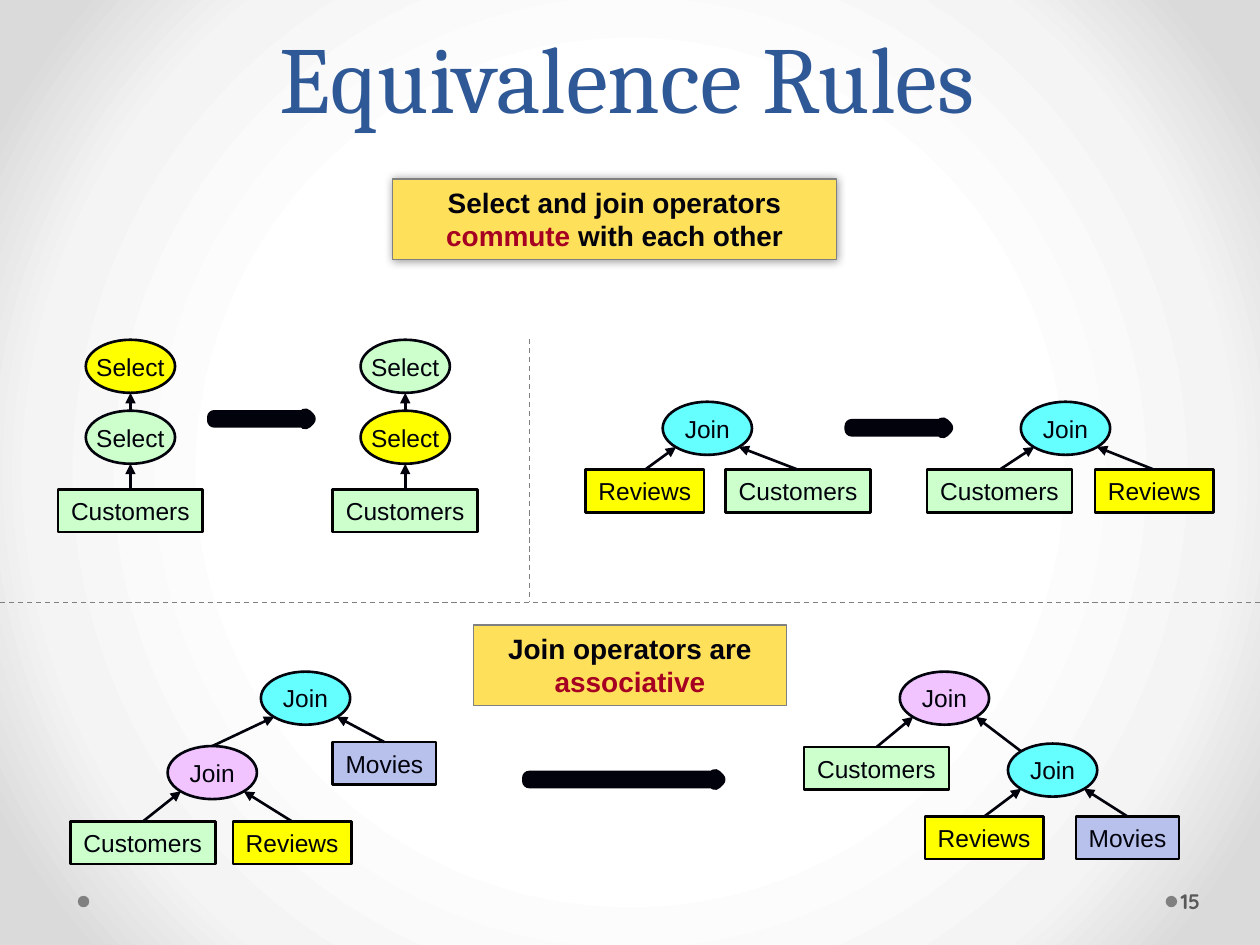
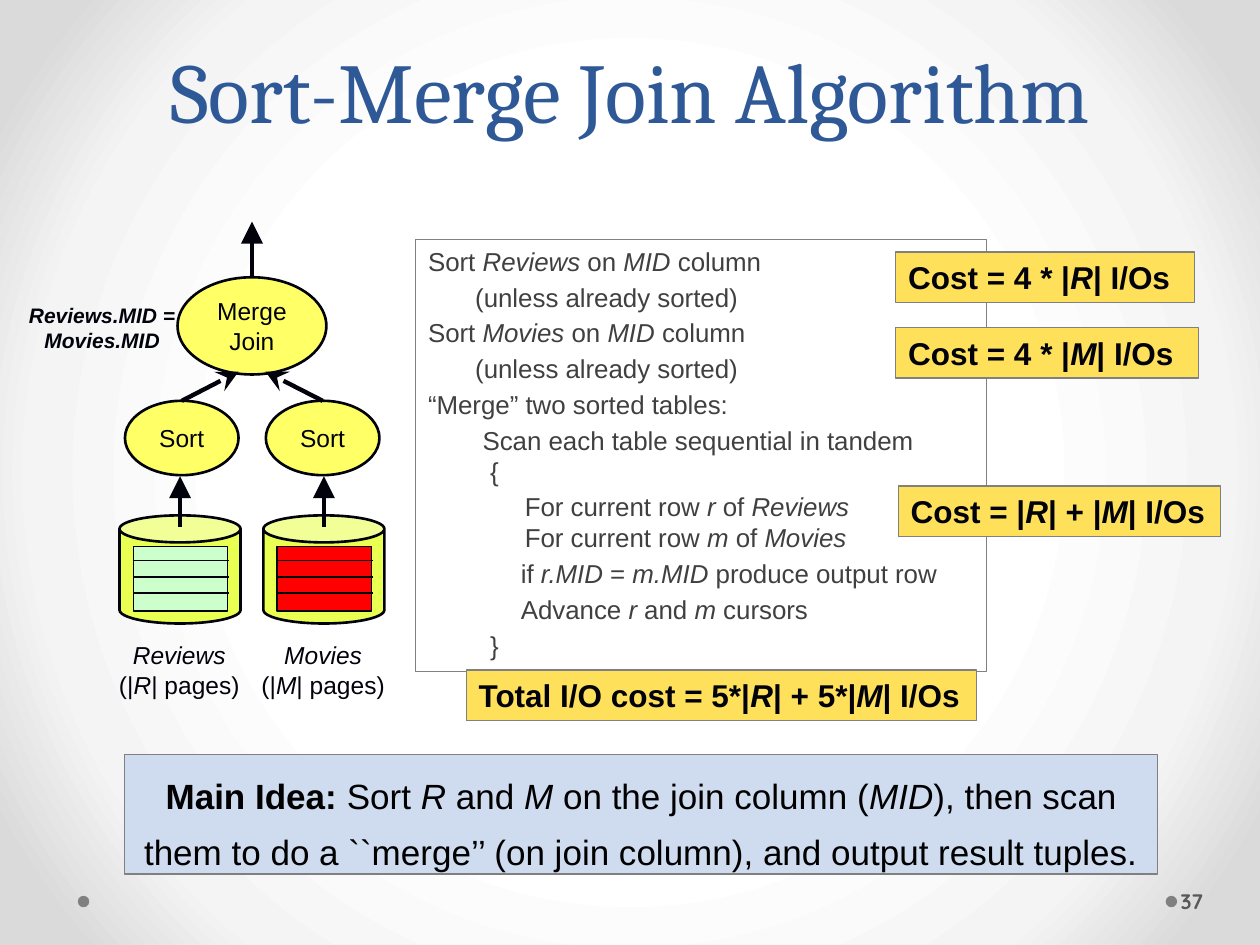
import lxml.etree
import pptx
import pptx.dml.color
import pptx.enum.dml
import pptx.enum.shapes
import pptx.enum.text
import pptx.oxml
import pptx.oxml.ns
import pptx.util

Cm, Pt = pptx.util.Cm, pptx.util.Pt
qn = pptx.oxml.ns.qn
rgb = pptx.dml.color.RGBColor.from_string
SHAPE = pptx.enum.shapes.MSO_SHAPE
ALIGN = pptx.enum.text.PP_ALIGN
ANCHOR = pptx.enum.text.MSO_ANCHOR
DRAWING_NS = 'xmlns:a="http://schemas.openxmlformats.org/drawingml/2006/main"'


class Theme:
    ink, black, grey = "01020B", "000000", "808080"
    gold, green, yellow, cyan = "FFE05B", "CCFFCC", "FFFF00", "66FFFF"
    pink, lilac, blue, lemon = "F1C4FF", "B8C1EC", "6076B4", "FFFF66"
    pale_blue, lime, red, white = "CFDCF0", "E9FF51", "FF0000", "FFFFFF"
    background_stops = ((50, "FFFFFF"), (76, "F4F4F4"), (92, "DADADA"))
    title = {"name": "Cambria", "color": "2F5897"}
    number = {"name": "Quicksand", "size": Pt(12), "color": "595959", "bold": True}
    label = {"name": "Arial", "size": Pt(14), "color": ink}
    banner = {"name": "Arial", "size": Pt(16), "color": ink, "bold": True}
    cost = {"name": "Arial", "size": Pt(18), "color": ink, "bold": True}
    condition = {"name": "Arial", "size": Pt(12), "color": ink, "bold": True}
    code = {"name": "Arial", "size": Pt(14.8), "color": "404040"}
    idea = {"name": "Arial", "size": Pt(20), "color": black}
    italic = {"italic": True}
    keyword = {"color": "A50021"}


def add_block(slide, kind, at, fill=None, line=None, width=0.75, lines=(), style=None,
              accent=Theme.italic, align=ALIGN.CENTER, anchor=ANCHOR.TOP, wrap=True):
    """Add a shape, or a text box if kind is None; text between underscores gets the accent."""
    at = [Cm(length) for length in at]
    if kind is None:
        shape = slide.shapes.add_textbox(*at)
    else:
        shape = slide.shapes.add_shape(kind, *at)
        shape.shadow.inherit = False
        shape.fill.solid()
        shape.fill.fore_color.rgb = rgb(fill)
        if line:
            shape.line.color.rgb = rgb(line)
            shape.line.width = Pt(width)
        else:
            shape.line.fill.background()
    frame = shape.text_frame
    frame.word_wrap, frame.vertical_anchor = wrap, anchor
    for row, text in enumerate(lines):
        paragraph = frame.add_paragraph() if row else frame.paragraphs[0]
        paragraph.alignment = align
        for index, piece in enumerate(text.split("_")):
            if not piece:
                continue
            run = paragraph.add_run()
            run.text = piece
            for name, value in {**style, **(accent if index % 2 else {})}.items():
                if name == "color":
                    run.font.color.rgb = rgb(value)
                else:
                    setattr(run.font, name, value)
    return shape


def add_line(slide, start, end, color=Theme.ink, width=1.5, arrow=None, head="med", dash=None,
             source=None):
    """Add a straight line; source is the shape whose top middle it leaves from."""
    connector = slide.shapes.add_connector(
        pptx.enum.shapes.MSO_CONNECTOR.STRAIGHT, *[Cm(length) for length in (*start, *end)])
    connector.line.color.rgb = rgb(color)
    connector.line.width = Pt(width)
    if dash:
        connector.line.dash_style = dash
    properties = connector._element.spPr
    if arrow:
        lxml.etree.SubElement(properties.find(qn("a:ln")), qn("a:tailEnd"),
                              type=arrow, w=head, len=head)
    lxml.etree.SubElement(properties, qn("a:effectLst"))
    if source is not None:
        connector.begin_connect(source, 0)


presentation = pptx.Presentation()
presentation.slide_width, presentation.slide_height = Cm(25.4), Cm(19.05)

# Shared background
master = presentation.slide_master
master.background.fill.solid()
background = master.element.find(".//" + qn("p:bgPr"))
stops = "".join(f'<a:gs pos="{place}000"><a:srgbClr val="{color}"/></a:gs>'
                for place, color in Theme.background_stops)
background.replace(background[0], pptx.oxml.parse_xml(
    f'<a:gradFill {DRAWING_NS} rotWithShape="1"><a:gsLst>{stops}</a:gsLst><a:path path="circle">'
    '<a:fillToRect l="50000" t="50000" r="50000" b="50000"/></a:path></a:gradFill>'))

# Titles, footer dots and slide numbers
slides = []
for text, size, at, number in (
        ("Equivalence Rules", 54, (1.85, 0.91, 21.59, 1.88), "15"),
        ("Sort-Merge Join Algorithm", 48.6, (1.27, 0.43, 22.86, 2.54), "37")):
    slide = presentation.slides.add_slide(presentation.slide_layouts[5])
    slides.append(slide)
    title = slide.shapes.title
    for name, length in zip(("left", "top", "width", "height"), at):
        setattr(title, name, Cm(length))
    title.text_frame.text = text
    title.text_frame.vertical_anchor = ANCHOR.BOTTOM
    title.text_frame.auto_size = pptx.enum.text.MSO_AUTO_SIZE.NONE
    paragraph = title.text_frame.paragraphs[0]
    paragraph.alignment, paragraph.line_spacing = ALIGN.CENTER, Pt(58)
    font = paragraph.runs[0].font
    font.name, font.size = Theme.title["name"], Pt(size)
    font.color.rgb = rgb(Theme.title["color"])
    for left in (1.57, 23.5):
        add_block(slide, SHAPE.OVAL, (left, 18.06, 0.23, 0.23), Theme.grey)
    footer = add_block(slide, None, (23.72, 17.65, 1.55, 1.02), lines=[number],
                       style=Theme.number, align=ALIGN.LEFT, anchor=ANCHOR.MIDDLE)
    footer.text_frame.margin_left = Cm(0.08)
rules_slide, merge_slide = slides

# Equivalence Rules: banners and dividers
banner = add_block(rules_slide, SHAPE.RECTANGLE, (7.92, 3.61, 8.94, 1.63), Theme.gold, Theme.grey,
                   lines=["Select and join operators _commute_ with each other"],
                   style=Theme.banner, accent=Theme.keyword)
effects = banner._element.spPr.find(qn("a:effectLst"))
effects.append(pptx.oxml.parse_xml(
    f'<a:outerShdw {DRAWING_NS} blurRad="{Pt(5)}" dist="0" dir="0" rotWithShape="0">'
    f'<a:srgbClr val="{Theme.black}"><a:alpha val="40000"/></a:srgbClr></a:outerShdw>'))
add_block(rules_slide, SHAPE.RECTANGLE, (9.55, 12.6, 6.3, 1.63), Theme.gold, Theme.grey,
          lines=["Join operators are _associative_"], style=Theme.banner, accent=Theme.keyword)
for start, end in (((0, 12.14), (25.4, 12.14)), ((10.67, 6.83), (10.67, 12.14))):
    add_line(rules_slide, start, end, Theme.grey, 0.75,
             dash=pptx.enum.dml.MSO_LINE_DASH_STYLE.DASH)

for left, top, width, fill in ((4.32, 8.38, 1.9, Theme.blue), (17.17, 8.56, 1.9, Theme.blue),
                               (10.67, 15.65, 3.81, Theme.gold)):
    arrow = add_block(rules_slide, SHAPE.RIGHT_ARROW, (left, top, width, 0.13), fill,
                      Theme.ink, 8.25)
    lxml.etree.SubElement(arrow._element.spPr.find(qn("a:ln")), qn("a:round"))

# Operator trees: label, fill, centre, top, index of the parent, side of the parent (-1, 0, 1)
table_widths = {"Customers": 2.92, "Reviews": 2.39, "Movies": 2.08}
oval_width, oval_height, table_height = 1.8, 1.07, 0.86
trees = [
    [("Select", upper, centre, 6.85, None, 0),
     ("Select", lower, centre, 8.28, 0, 0),
     ("Customers", Theme.green, centre, 9.87, 1, 0)]
    for centre, upper, lower in ((2.63, Theme.yellow, Theme.green),
                                 (8.17, Theme.green, Theme.yellow))
] + [
    [("Join", Theme.cyan, 14.26, 8.1, None, 0),
     ("Reviews", Theme.yellow, 13, 9.47, 0, -1),
     ("Customers", Theme.green, 16.09, 9.47, 0, 1)],
    [("Join", Theme.cyan, 21.48, 8.1, None, 0),
     ("Customers", Theme.green, 20.15, 9.47, 0, -1),
     ("Reviews", Theme.yellow, 23.27, 9.47, 0, 1)],
    [("Join", Theme.cyan, 6.16, 13.54, None, 0),
     ("Join", Theme.pink, 4.28, 15.04, 0, -1),
     ("Movies", Theme.lilac, 7.75, 14.96, 0, 1),
     ("Customers", Theme.green, 2.88, 16.56, 1, -1),
     ("Reviews", Theme.yellow, 5.89, 16.56, 1, 1)],
    [("Join", Theme.pink, 19.04, 13.54, None, 0),
     ("Customers", Theme.green, 17.67, 15.06, 0, -1),
     ("Join", Theme.cyan, 21.22, 14.99, 0, 1),
     ("Reviews", Theme.yellow, 19.84, 16.46, 2, -1),
     ("Movies", Theme.lilac, 22.73, 16.46, 2, 1)],
]
for tree in trees:
    for label, fill, centre, top, parent, side in tree:
        is_table = label in table_widths
        width = table_widths.get(label, oval_width)
        height = table_height if is_table else oval_height
        node = add_block(rules_slide, SHAPE.RECTANGLE if is_table else SHAPE.OVAL,
                         (centre - width / 2, top, width, height), fill,
                         Theme.black if is_table else Theme.ink, 1.5, [label], Theme.label,
                         anchor=ANCHOR.MIDDLE, wrap=False)
        if parent is None:
            continue
        parent_centre, parent_top = tree[parent][2:4]
        drop = 0.85 if side else 1
        end = (parent_centre + side * 0.35 * oval_width, parent_top + drop * oval_height)
        if label == "Join" and side == 1:  # leaves from the upper left of the oval
            start = (centre - 0.35 * oval_width, top + 0.15 * oval_height)
            add_line(rules_slide, start, end, arrow="triangle")
        else:
            add_line(rules_slide, (centre, top), end, arrow="triangle", source=node)

# Sort-Merge Join: pseudocode as text, indent in cm, space before in points
steps = [
    ("Sort _Reviews_ on _MID_ column", 0, 0),
    ("(unless already sorted)", 0.95, 3),
    ("Sort _Movies_ on _MID_ column", 0, 3),
    ("(unless already sorted)", 0.95, 3),
    ("“Merge” two sorted tables:", 0, 3),
    ("Scan each table sequential in tandem", 1.1, 3),
    ("{", 1.25, 0),
    ("For current row _r_ of _Reviews_", 1.95, 3),
    ("For current row _m_ of _Movies_", 1.95, 0),
    ("if _r.MID_ = _m.MID_ produce output row", 1.87, 3),
    ("Advance _r_ and _m_ cursors", 1.87, 3),
    ("}", 1.25, 3),
]
pseudocode = add_block(merge_slide, SHAPE.RECTANGLE, (8.38, 4.83, 11.51, 8.71), Theme.white,
                       Theme.grey, lines=[step[0] for step in steps], style=Theme.code,
                       align=ALIGN.LEFT)
for paragraph, (text, indent, space) in zip(pseudocode.text_frame.paragraphs, steps):
    paragraph.line_spacing, paragraph.space_before = Pt(17.5), Pt(space)
    paragraph._p.get_or_add_pPr().set("marL", str(Cm(indent)))

for text, left, top, width in (("Cost = 4 * |_R_| I/Os", 18.06, 5.08, 6.02),
                               ("Cost = 4 * |_M_| I/Os", 18.06, 6.6, 6.1),
                               ("Cost = |_R_| + |_M_| I/Os", 18.11, 9.8, 6.5),
                               ("Total I/O cost = 5*|_R_| + 5*|_M_| I/Os", 9.4, 13.51, 10.29)):
    add_block(merge_slide, SHAPE.RECTANGLE, (left, top, width, 1.02), Theme.gold, Theme.grey,
              lines=[text], style=Theme.cost, align=ALIGN.LEFT, wrap=False)

# Query plan
merge_centre = 5.08
merge = add_block(merge_slide, SHAPE.OVAL, (3.58, 5.59, 3, 1.96), Theme.lemon, Theme.ink, 1.5,
                  ["Merge", "Join"], Theme.label, anchor=ANCHOR.MIDDLE, wrap=False)
add_line(merge_slide, (merge_centre, 5.59), (merge_centre, 4.47), width=2.5, arrow="triangle",
         head="lg", source=merge)
add_block(merge_slide, None, (0.23, 5.97, 3.66, 1.27), lines=["_Reviews.MID =_", "_Movies.MID_"],
          style=Theme.condition)
for side, shift, table, letter, fill in ((-1, 0, "Reviews", "R", Theme.green),
                                         (1, 2.9, "Movies", "M", Theme.red)):
    sort_centre = merge_centre + side * 1.42
    sort = add_block(merge_slide, SHAPE.OVAL, (sort_centre - 1.14, 8.08, 2.29, 1.5), Theme.lemon,
                     Theme.ink, 1.5, ["Sort"], Theme.label, anchor=ANCHOR.MIDDLE, wrap=False)
    add_line(merge_slide, (sort_centre, 8.08), (merge_centre + side * 0.27, 7.49), width=2.5,
             arrow="stealth", head="lg", source=sort)
    add_block(merge_slide, SHAPE.CAN, (2.41 + shift, 10.39, 2.44, 2.18), Theme.lime, Theme.ink, 1.5)
    add_block(merge_slide, SHAPE.RECTANGLE, (2.69 + shift, 11.02, 1.9, 1.3), fill, Theme.ink, 1)
    for row in range(3):
        height = 11.3 + row * 0.33
        add_line(merge_slide, (2.68 + shift, height), (4.61 + shift, height), width=1)
    add_block(merge_slide, None, (2.08 + shift, 12.78, 3.07, 1.45),
              lines=[f"_{table}_", f"(|_{letter}_| pages)"], style=Theme.label)
    add_line(merge_slide, (3.63 + shift, 10.62), (3.63 + shift, 9.6), width=2.5,
             arrow="triangle", head="lg")

# Main idea: the double underscore only splits off the heading run
idea = add_block(merge_slide, SHAPE.RECTANGLE, (2.51, 15.21, 20.83, 2.41), Theme.pale_blue,
                 Theme.grey, style=Theme.idea, lines=[
                     "Main Idea: __Sort _R_ and _M_ on the join column (_MID_), then scan "
                     "them to do a ``merge’’ (on join column), and output result tuples."])
paragraph = idea.text_frame.paragraphs[0]
paragraph.line_spacing, paragraph.space_after = Pt(32), Pt(6)
paragraph.runs[0].font.bold = True

presentation.save("out.pptx")
